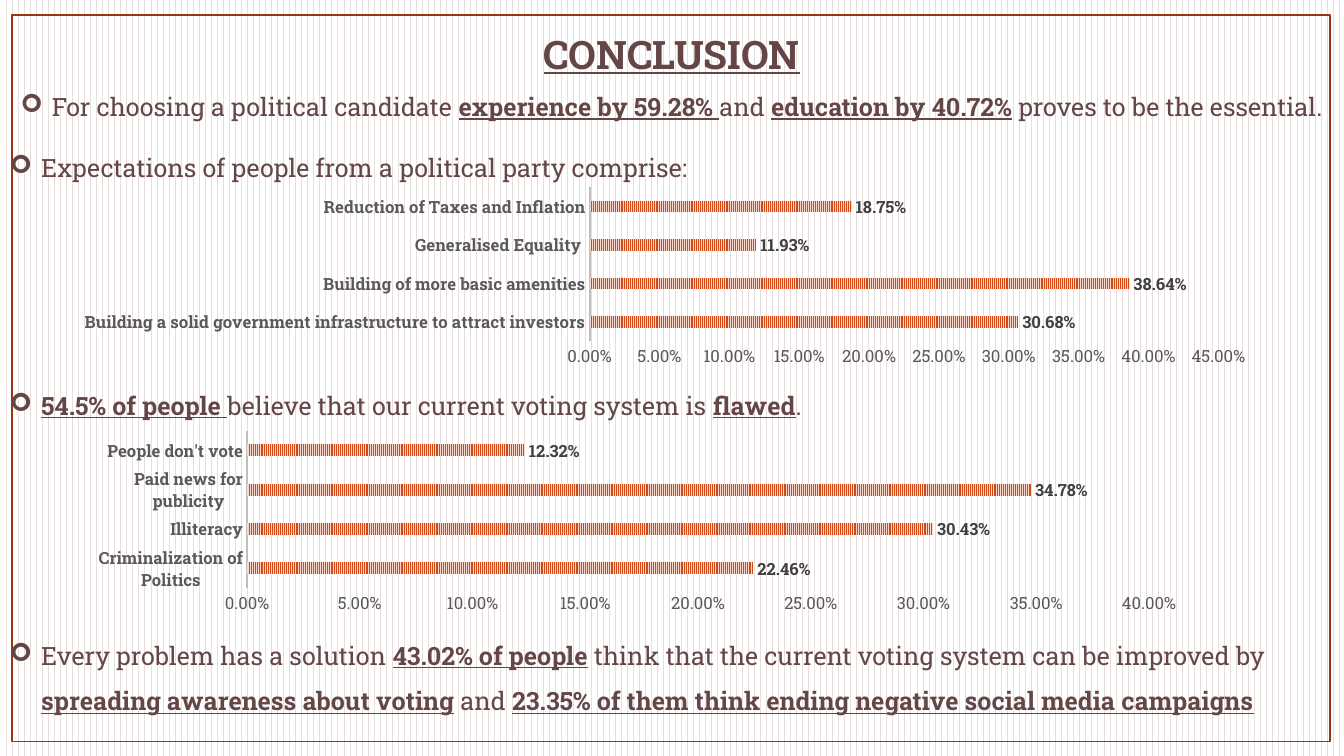
from dataclasses import dataclass

from lxml import etree
from pptx import Presentation
from pptx.chart.data import CategoryChartData
from pptx.dml.color import RGBColor
from pptx.enum.chart import XL_CHART_TYPE as ChartType, XL_LABEL_POSITION as LabelPosition
from pptx.enum.chart import XL_TICK_MARK as TickMark
from pptx.enum.dml import MSO_PATTERN as Pattern
from pptx.enum.shapes import MSO_SHAPE as Shape
from pptx.enum.text import MSO_ANCHOR as Anchor, PP_ALIGN as Align
from pptx.oxml import parse_xml
from pptx.oxml.ns import nsdecls, qn
from pptx.util import Cm, Pt


@dataclass(frozen=True)
class Theme:
    font: str = "Roboto Slab"
    text: RGBColor = RGBColor(0x64, 0x46, 0x46)
    stripe: RGBColor = RGBColor(0xE8, 0xDE, 0xDE)
    white: RGBColor = RGBColor(0xFF, 0xFF, 0xFF)
    frame: RGBColor = RGBColor(0x9C, 0x35, 0x11)
    bar: RGBColor = RGBColor(0xD3, 0x48, 0x17)
    bar_back: RGBColor = RGBColor(0xFA, 0xD9, 0xCD)
    axis_line: RGBColor = RGBColor(0xBF, 0xBF, 0xBF)
    axis_text: RGBColor = RGBColor(0x59, 0x59, 0x59)
    label: RGBColor = RGBColor(0x40, 0x40, 0x40)
    title_size: Pt = Pt(28)
    body_size: Pt = Pt(18)
    chart_size: Pt = Pt(12)


theme = Theme()


def style_font(font, size, color, bold=False, underline=False):
    font.name = theme.font
    font.size = size
    font.bold = bold
    font.underline = underline
    font.color.rgb = color


def set_pattern(fill, pattern, front, back):
    fill.patterned()
    fill.pattern = pattern
    fill.fore_color.rgb = front
    fill.back_color.rgb = back


deck = Presentation()
deck.slide_width, deck.slide_height = Cm(33.87), Cm(19.05)
page = deck.slides.add_slide(deck.slide_layouts[5])

backdrop = page.shapes.add_shape(Shape.RECTANGLE, 0, 0, deck.slide_width, deck.slide_height)
set_pattern(backdrop.fill, Pattern.DASHED_VERTICAL, theme.stripe, theme.white)
backdrop.line.fill.background()
frame = page.shapes.add_shape(Shape.RECTANGLE, Cm(0.3), Cm(0.38), Cm(33.22), Cm(18.31))
frame.fill.background()
frame.line.color.rgb = theme.frame
frame.line.width = Pt(1)
for position, panel in enumerate((backdrop, frame), start=2):
    panel.shadow.inherit = False
    page.shapes._spTree.insert(position, panel._element)

title = page.shapes.title
title.left, title.top, title.width, title.height = Cm(0.25), Cm(0.45), Cm(33.35), Cm(1.8)
title.text_frame.text = "CONCLUSION"
title.text_frame.vertical_anchor = Anchor.MIDDLE
heading = title.text_frame.paragraphs[0]
heading.alignment = Align.CENTER
style_font(heading.runs[0].font, theme.title_size, theme.text, bold=True, underline=True)

# Every second part of a finding is emphasised
findings = [
    (1.92, 1.3, Align.CENTER, [
        "For choosing a political candidate ", "experience by 59.28% ", "and ",
        "education by 40.72%", " proves to be the essential."]),
    (3.45, 1.3, Align.LEFT, ["Expectations of people from a political party comprise:"]),
    (9.45, 1.3, Align.LEFT, [
        "", "54.5% of people ", "believe that our current voting system is ", "flawed", "."]),
    (15.75, 2.5, Align.LEFT, [
        "Every problem has a solution ", "43.02% of people",
        " think that the current voting system can be improved by ",
        "spreading awareness about voting", " and ",
        "23.35% of them think ending negative social media campaigns"]),
]
for top, height, alignment, parts in findings:
    box = page.shapes.add_textbox(Cm(0.25), Cm(top), Cm(33.35), Cm(height))
    text_frame = box.text_frame
    text_frame.word_wrap = True
    text_frame.margin_left = text_frame.margin_right = 0
    text_frame.margin_top = text_frame.margin_bottom = 0
    para = text_frame.paragraphs[0]
    para.alignment = alignment
    para.line_spacing = 1.5
    properties = para._p.get_or_add_pPr()
    properties.set("marL", str(Cm(0.79)))
    properties.set("indent", str(-Cm(0.79)))
    etree.SubElement(properties, qn("a:buFont"), typeface="Wingdings")
    etree.SubElement(properties, qn("a:buChar"), char="➢")
    for number, part in enumerate(parts):
        if part:
            span = para.add_run()
            span.text = part
            strong = number % 2 == 1
            style_font(span.font, theme.body_size, theme.text, strong, strong)

charts = [
    ((1.57, 4.45, 30.07, 4.85), (0.442, 0.056, 0.527, 0.799), 0.45, {
        "Building a solid government infrastructure to attract investors": 0.3068,
        "Building of more basic amenities": 0.3864,
        "Generalised Equality ": 0.1193,
        "Reduction of Taxes and Inflation": 0.1875}),
    ((1.57, 10.49, 28.07, 5.08), (0.167, 0.072, 0.815, 0.78), 0.4, {
        "Criminalization of Politics": 0.2246,
        "Illiteracy": 0.3043,
        "Paid news for publicity": 0.3478,
        "People don't vote": 0.1232}),
]
for place, plot_place, maximum, shares in charts:
    data = CategoryChartData(number_format="0.00%")
    data.categories = list(shares)
    data.add_series("Series 1", list(shares.values()))
    chart = page.shapes.add_chart(ChartType.BAR_CLUSTERED, *map(Cm, place), data).chart
    chart.has_legend = False
    chart.has_title = False
    style_font(chart.font, theme.chart_size, theme.axis_text)

    plot = chart.plots[0]
    plot.gap_width = 227
    plot.overlap = -48
    plot.vary_by_categories = False
    set_pattern(plot.series[0].format.fill, Pattern.NARROW_VERTICAL, theme.bar, theme.bar_back)
    plot.has_data_labels = True
    labels = plot.data_labels
    labels.show_value = True
    labels.position = LabelPosition.OUTSIDE_END
    labels.number_format = "0.00%"
    labels.number_format_is_linked = False
    style_font(labels.font, theme.chart_size, theme.label, bold=True)

    for axis in (chart.category_axis, chart.value_axis):
        axis.has_major_gridlines = False
        axis.major_tick_mark = axis.minor_tick_mark = TickMark.NONE
        style_font(axis.tick_labels.font, theme.chart_size, theme.axis_text,
                   bold=axis is chart.category_axis)
    category_axis, value_axis = chart.category_axis, chart.value_axis
    style_font(category_axis.tick_labels.font, theme.chart_size, theme.axis_text, bold=True)
    category_axis.format.line.color.rgb = theme.axis_line
    category_axis.format.line.width = Pt(1.5)
    value_axis.format.line.fill.background()
    value_axis.minimum_scale, value_axis.maximum_scale = 0, maximum
    value_axis.major_unit = 0.05
    value_axis.tick_labels.number_format = "0.00%"
    value_axis.tick_labels.number_format_is_linked = False

    plot_area = chart._chartSpace.chart.plotArea
    for layout in plot_area.findall(qn("c:layout")):
        plot_area.remove(layout)
    sizes = "".join(f'<c:{name} val="{value}"/>' for name, value in zip("xywh", plot_place))
    plot_area.insert(0, parse_xml(
        f'<c:layout {nsdecls("c")}><c:manualLayout><c:layoutTarget val="inner"/>'
        f'<c:xMode val="edge"/><c:yMode val="edge"/>{sizes}</c:manualLayout></c:layout>'))

deck.save("out.pptx")
